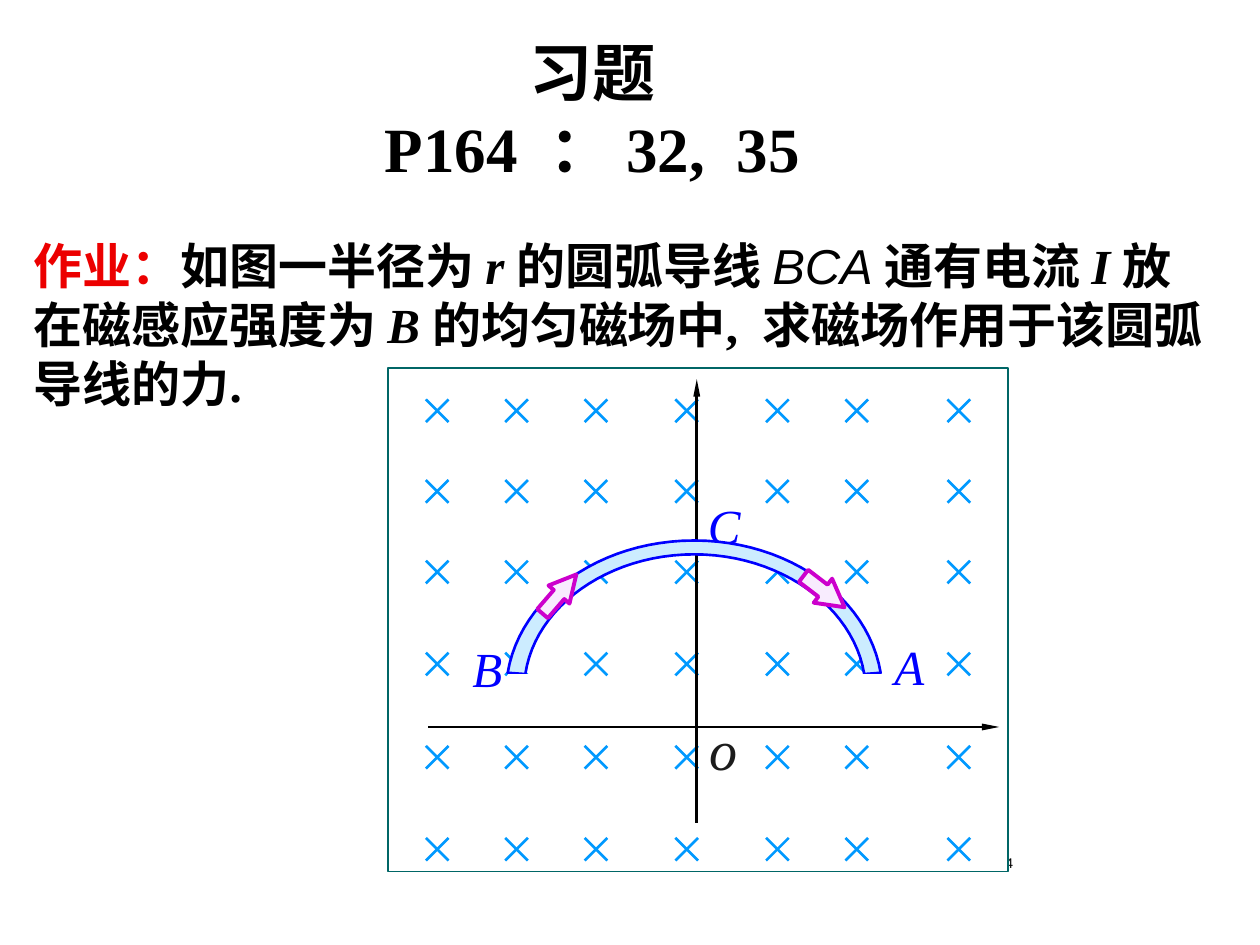
from collections import namedtuple
from dataclasses import dataclass
from itertools import accumulate, product

from lxml.etree import SubElement
from pptx import Presentation
from pptx.dml.color import RGBColor
from pptx.enum.shapes import MSO_CONNECTOR, MSO_SHAPE
from pptx.enum.text import MSO_ANCHOR, MSO_AUTO_SIZE, PP_ALIGN
from pptx.oxml.ns import qn
from pptx.util import Inches, Pt

Box = namedtuple("Box", "left top width height")


@dataclass(frozen=True)
class Theme:
    serif: str = "Times New Roman"
    sans: str = "Arial"
    title_size: int = 36
    body_size: int = 28
    origin_size: int = 32
    number_size: int = 8
    black: str = "000000"
    white: str = "FFFFFF"
    red: str = "EC0000"
    frame: str = "006666"
    field: str = "0099FF"
    wire: str = "0000FF"
    wire_fill: str = "CCECFF"
    current: str = "CC00CC"
    current_fill: str = "F8ECFE"
    origin: str = "1C1C1C"


THEME = Theme()


def color(value):
    return RGBColor.from_string(value)


def place(box):
    return [Inches(length) for length in box]


def set_font(font, name, size, rgb, bold=False, italic=False):
    font.name, font.size = name, Pt(size)
    font.bold, font.italic = bold, italic
    font.color.rgb = color(rgb)


def paint(shape, fill, line=None, weight=1.5):
    shape.shadow.inherit = False
    shape.fill.solid()
    shape.fill.fore_color.rgb = color(fill)
    if line:
        shape.line.color.rgb = color(line)
        shape.line.width = Pt(weight)
    else:
        shape.line.fill.background()


def add_line(shapes, start, end, rgb, arrow=False):
    line = shapes.add_connector(MSO_CONNECTOR.STRAIGHT, *place(start + end))
    line.line.color.rgb = color(rgb)
    line.line.width = Pt(1.5)
    if arrow:
        SubElement(line.line._get_or_add_ln(), qn("a:tailEnd"),
                   type="triangle", w="sm", len="lg")
    SubElement(line._element.spPr, qn("a:effectLst"))


def add_text_box(page, box, top_inset=0.1):
    frame = page.shapes.add_textbox(*place(box)).text_frame
    frame.word_wrap = True
    frame.margin_top = Inches(top_inset)
    return frame.paragraphs[0]


def add_label(page, box, text, size, rgb):
    para = add_text_box(page, box)
    para.text = text
    set_font(para.font, THEME.serif, size, rgb, italic=True)


def add_number(page, box):
    para = add_text_box(page, box, 0.05)
    para.text = "14"
    para.alignment = PP_ALIGN.RIGHT
    set_font(para.font, THEME.sans, THEME.number_size, THEME.black)


def add_title(page, box):
    title = page.shapes.title
    title.left, title.top, title.width, title.height = place(box)
    frame = title.text_frame
    frame.auto_size = MSO_AUTO_SIZE.NONE
    frame.vertical_anchor = MSO_ANCHOR.MIDDLE
    para = frame.paragraphs[0]
    para.text = "习题\vP164  ： 32,  35"
    para.alignment = PP_ALIGN.CENTER
    set_font(para.font, THEME.serif, THEME.title_size, THEME.black, bold=True)


def add_problem(page, box):
    serif, sans = THEME.serif, THEME.sans
    spans = [  # text, font, bold, italic
        ("作业：", serif, True, False),
        ("如图一半径为 ", serif, True, False),
        ("r ", serif, True, True),
        ("的", serif, True, False),
        ("圆弧导线 ", sans, True, False),
        ("BCA ", sans, False, True),
        ("通有电流 ", serif, True, False),
        ("I ", serif, True, True),
        ("放在磁感应强度为 ", serif, True, False),
        ("B ", serif, True, True),
        ("的均匀磁场中,  求磁场作用于该圆弧导线的力.", serif, True, False),
    ]
    para = add_text_box(page, box)
    for index, (text, font, bold, italic) in enumerate(spans):
        span = para.add_run()
        span.text = text
        rgb = THEME.black if index else THEME.red
        set_font(span.font, font, THEME.body_size, rgb, bold, italic)


def add_field(page, box):
    """Crosses marking a field that points into the page."""
    columns = accumulate([0.63, 0.63, 0.72, 0.72, 0.63, 0.81], initial=box.left + 0.3)
    rows = accumulate([0.64, 0.64, 0.73, 0.74, 0.73], initial=box.top + 0.25)
    size = 0.18
    crosses = page.shapes.add_group_shape().shapes
    for x, y in product(columns, rows):
        add_line(crosses, (x + size, y), (x, y + size), THEME.field)
        add_line(crosses, (x, y), (x + size, y + size), THEME.field)


def curve(start, first, second, end, steps=24):
    """Points along a cubic curve."""
    for step in range(steps + 1):
        t = step / steps
        weights = ((1 - t) ** 3, 3 * t * (1 - t) ** 2, 3 * t * t * (1 - t), t ** 3)
        yield tuple(sum(w * p for w, p in zip(weights, axis))
                    for axis in zip(start, first, second, end))


def add_wire(page, box):
    # Inner edge from left to right, then outer edge back
    edges = [
        ((1.09, 2.43), (1.17, 1.89), (1.75, 1.48), (2.43, 1.48)),
        ((2.43, 1.48), (3.11, 1.48), (3.69, 1.89), (3.78, 2.43)),
        ((3.91, 2.42), (3.81, 1.82), (3.18, 1.37), (2.43, 1.37)),
        ((2.43, 1.37), (1.68, 1.37), (1.05, 1.82), (0.95, 2.42)),
    ]
    points = [(Inches(box.left + x), Inches(box.top + y))
              for edge in edges for x, y in curve(*edge)]
    builder = page.shapes.build_freeform(*points[0], scale=1.0)
    builder.add_line_segments(points[1:], close=True)
    paint(builder.convert_to_shape(), THEME.wire_fill, THEME.wire)
    # White covers trim the two ends
    for x in (0.95, 3.71):
        cover = Box(box.left + x, box.top + 2.43, 0.22, 0.09)
        paint(page.shapes.add_shape(MSO_SHAPE.RECTANGLE, *place(cover)), THEME.white)


def add_current(page, box, rotation, head):
    arrow = page.shapes.add_shape(MSO_SHAPE.UP_ARROW, *place(box))
    arrow.adjustments[0], arrow.adjustments[1] = 0.5, head
    arrow.rotation = rotation
    paint(arrow, THEME.current_fill, THEME.current, 2.25)


def add_diagram(page, box):
    left, top = box.left, box.top
    panel = page.shapes.add_shape(MSO_SHAPE.RECTANGLE, *place(box))
    paint(panel, THEME.white, THEME.frame, 0.75)
    add_field(page, box)

    # Axes
    for start, end in [((0.32, 2.85), (4.85, 2.85)), ((2.45, 3.61), (2.45, 0.09))]:
        add_line(page.shapes, (left + start[0], top + start[1]),
                 (left + end[0], top + end[1]), THEME.black, arrow=True)

    # Point names
    for text, x, y, width in [("A", 3.92, 2.03, 1.22), ("B", 0.57, 2.05, 1.1),
                              ("C", 2.44, 0.91, 1.39)]:
        add_label(page, Box(left + x, top + y, width, 0.57), text,
                  THEME.body_size, THEME.wire)
    add_wire(page, box)
    add_label(page, Box(left + 2.45, top + 2.65, 0.6, 0.63), "o",
              THEME.origin_size, THEME.origin)

    # Direction of the current
    add_current(page, Box(left + 1.25, top + 1.59, 0.22, 0.41), 40.8, 0.955)
    add_current(page, Box(left + 3.34, top + 1.57, 0.24, 0.41), 127.4, 0.9)


def main():
    deck = Presentation()
    deck.slide_width, deck.slide_height = Inches(10), Inches(7.5)
    page = deck.slides.add_slide(deck.slide_layouts[5])
    add_number(page, Box(7.22, 6.73, 0.92, 0.25))
    add_title(page, Box(0.45, 0.08, 8.5, 1.58))
    add_diagram(page, Box(3.08, 2.92, 4.92, 4))
    add_problem(page, Box(0.17, 1.77, 9.58, 1.5))
    deck.save("out.pptx")


if __name__ == "__main__":
    main()
